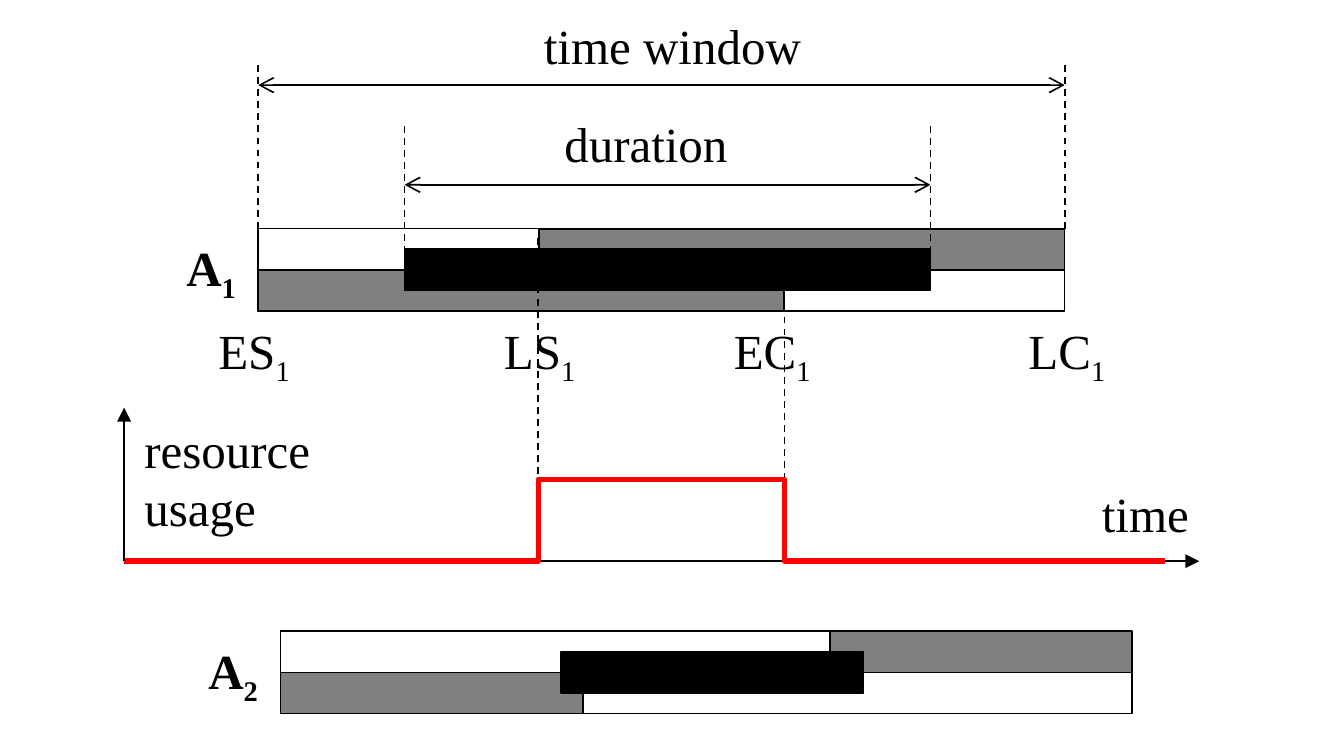
"""Draw the time windows of two activities and the resource usage they imply."""
from dataclasses import dataclass

from lxml import etree
from pptx import Presentation
from pptx import util as u
from pptx.dml import color
from pptx.enum import dml, shapes, text
from pptx.oxml import ns

BLACK = color.RGBColor(0x00, 0x00, 0x00)
GRAY = color.RGBColor(0x80, 0x80, 0x80)
RED = color.RGBColor(0xFF, 0x00, 0x00)

FONT = "Times New Roman"
THIN = 0.75
HALF = 17.6

ES, LS, EC, LC = 110.7, 230.7, 336.2, 456.3
START, END = 173.4, 398.8
AXIS_X, AXIS_Y = 53.2, 240.5
USAGE_Y = 205.4
WINDOW_Y, DURATION_Y = 36.5, 79.2


@dataclass
class Activity:
    left: float
    right: float
    top: float
    start: float
    duration: float


@dataclass
class Line:
    x1: float
    y1: float
    x2: float
    y2: float
    dashed: bool = False
    head: str = ""
    tail: str = ""


@dataclass
class Label:
    lines: list[str]
    left: float
    top: float
    width: float
    height: float = 31.7
    sub: str = ""
    bold: bool = False


A1 = Activity(ES, LC, 98, START, END - START)
A2 = Activity(120.2, 485.3, 270.6, 240.5, 129.6)

LINES = [
    Line(LS, 102.2, LS, 229.7, dashed=True),
    Line(EC, 120.2, EC, 229.7, dashed=True),
    *[Line(x, A1.top, x, 27.4, dashed=True) for x in (ES, LC)],
    *[Line(x, 54, x, A1.top + HALF / 2, dashed=True) for x in (START, END)],
    Line(ES, WINDOW_Y, LC, WINDOW_Y, head="arrow", tail="arrow"),
    Line(START, DURATION_Y, END, DURATION_Y, head="arrow", tail="arrow"),
]
TIME_AXIS = Line(AXIS_X, AXIS_Y, 514, AXIS_Y, tail="triangle")
USAGE_AXIS = Line(AXIS_X, AXIS_Y, AXIS_X, 174.7, tail="triangle")
USAGE = [(AXIS_X, AXIS_Y), (LS, AXIS_Y), (LS, USAGE_Y),
         (EC, USAGE_Y), (EC, AXIS_Y), (499.5, AXIS_Y)]

LABELS = [
    Label(["time window"], 226.6, 3.6, 123.1),
    Label(["duration"], 235.4, 45.5, 82.8),
    Label(["resource", "usage"], 55.4, 176.4, 83.5, 56.9),
    Label(["time"], 465.8, 203.9, 50.4),
    *[Label(["A"], x, y, 33.8, 35.3, sub, True)
      for x, y, sub in ((73.4, 98.5, "1"), (82.8, 271.1, "2"))],
    *[Label([name], x, 134, w, 35.3, "1")
      for name, x, w in (("ES", 87.1, 43.2), ("LS", 209.5, 43.2),
                         ("EC", 308, 45.4), ("LC", 434.3, 45.4))],
]


def add_box(s, left: float, top: float, width: float, height: float, fill=None) -> None:
    sp = s.shapes.add_shape(shapes.MSO_SHAPE.RECTANGLE,
                            *map(u.Pt, (left, top, width, height)))
    sp.shadow.inherit = False
    if fill is None:
        sp.fill.background()
    else:
        sp.fill.solid()
        sp.fill.fore_color.rgb = fill
    sp.line.color.rgb = BLACK
    sp.line.width = u.Pt(THIN)


def add_activity(s, a: Activity) -> None:
    add_box(s, a.right - a.duration, a.top, a.duration, HALF, GRAY)
    add_box(s, a.left, a.top + HALF, a.duration, HALF, GRAY)
    add_box(s, a.left, a.top, a.right - a.left, 2 * HALF)
    add_box(s, a.start, a.top + HALF / 2, a.duration, HALF, BLACK)


def add_line(s, line: Line) -> None:
    sp = s.shapes.add_connector(shapes.MSO_CONNECTOR.STRAIGHT,
                                *map(u.Pt, (line.x1, line.y1, line.x2, line.y2)))
    sp.line.color.rgb = BLACK
    sp.line.width = u.Pt(THIN)
    if line.dashed:
        sp.line.dash_style = dml.MSO_LINE.DASH
    ln = sp.line._get_or_add_ln()
    for tag, kind in (("a:headEnd", line.head), ("a:tailEnd", line.tail)):
        if kind:
            etree.SubElement(ln, ns.qn(tag), type=kind)
    etree.SubElement(sp._element.spPr, ns.qn("a:effectLst"))


def add_usage(s, points: list[tuple[float, float]]) -> None:
    first, *rest = [(u.Pt(x), u.Pt(y)) for x, y in points]
    builder = s.shapes.build_freeform(*first)
    builder.add_line_segments(rest, close=False)
    sp = builder.convert_to_shape()
    sp.shadow.inherit = False
    sp.fill.background()
    sp.line.color.rgb = RED
    sp.line.width = u.Pt(2.25)


def add_run(p, words: str, bold: bool):
    r = p.add_run()
    r.text = words
    r.font.name = FONT
    r.font.size = u.Pt(21)
    r.font.bold = bold
    r.font.color.rgb = BLACK
    return r


def add_label(s, label: Label) -> None:
    sp = s.shapes.add_textbox(*map(u.Pt, (label.left, label.top, label.width, label.height)))
    tf = sp.text_frame
    tf.word_wrap = False
    tf.auto_size = text.MSO_AUTO_SIZE.NONE
    tf.margin_left, tf.margin_right = u.Pt(6.5), 0
    tf.margin_top = tf.margin_bottom = u.Pt(3.2)
    for i, words in enumerate(label.lines):
        p = tf.add_paragraph() if i else tf.paragraphs[0]
        p.alignment = text.PP_ALIGN.LEFT
        add_run(p, words, label.bold)
    if label.sub:
        r = add_run(p, label.sub, label.bold)
        r.font._element.set("baseline", "-25000")


def main() -> None:
    prs = Presentation()
    prs.slide_width, prs.slide_height = u.Pt(576), u.Pt(324)
    s = prs.slides.add_slide(prs.slide_layouts[6])
    add_activity(s, A1)
    add_line(s, TIME_AXIS)
    for line in LINES:
        add_line(s, line)
    add_usage(s, USAGE)
    add_line(s, USAGE_AXIS)
    for label in LABELS:
        add_label(s, label)
    add_activity(s, A2)
    prs.save("out.pptx")


if __name__ == "__main__":
    main()
